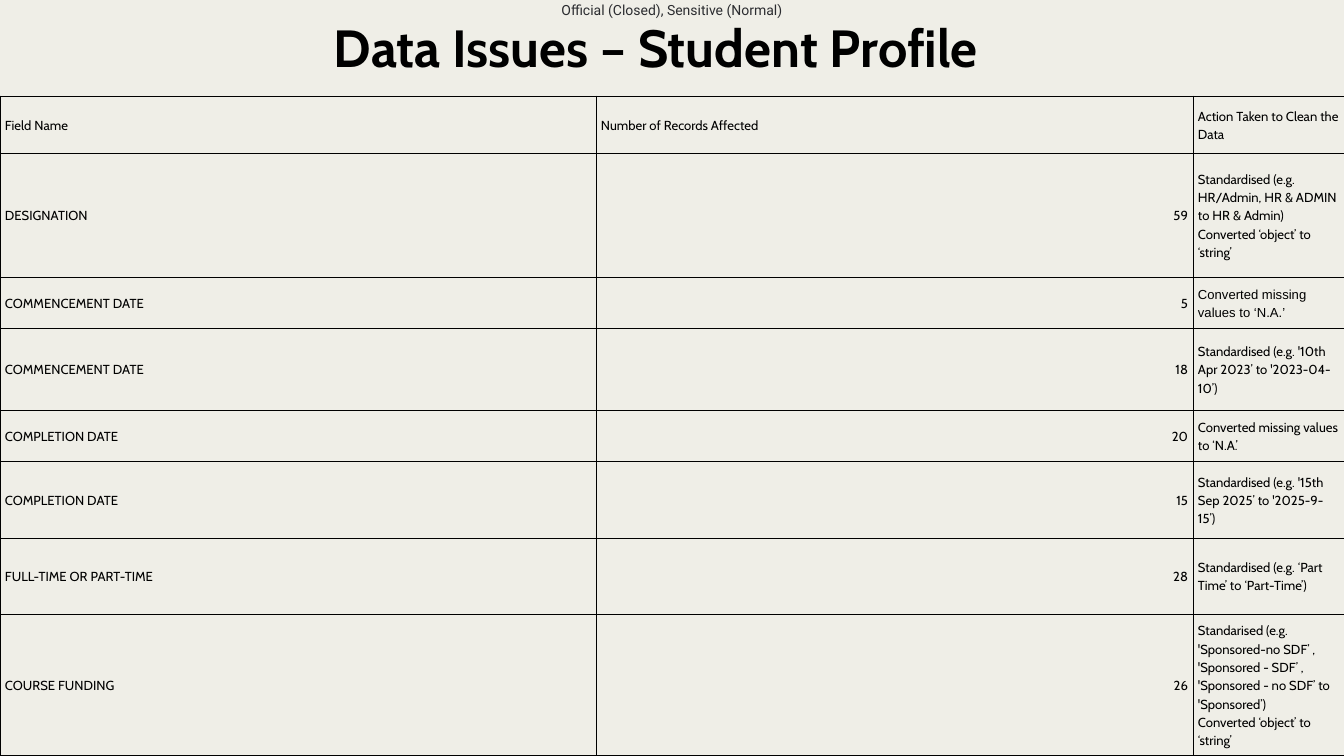
from lxml.etree import SubElement
from pptx import Presentation
from pptx.dml.color import RGBColor
from pptx.enum.text import MSO_ANCHOR as Anchor, MSO_AUTO_SIZE as AutoSize, PP_ALIGN as Align
from pptx.oxml.ns import qn
from pptx.util import Emu, Pt

BLACK = RGBColor(0, 0, 0)
CHARCOAL = RGBColor(0x2B, 0x2C, 0x30)
CREAM = RGBColor(0xEF, 0xEE, 0xE7)

HEADING = "Data Issues – Student Profile"
CLASSIFICATION = "Official (Closed), Sensitive (Normal)"
HEADERS = ("Field Name", "Number of Records Affected", "Action Taken to Clean the Data")
ISSUES = [
    ("DESIGNATION", 59,
     "Standardised (e.g. HR/Admin, HR & ADMIN to HR & Admin)\nConverted ‘object’ to ‘string’"),
    ("COMMENCEMENT DATE", 5, "Converted missing values to ‘N.A.’"),
    ("COMMENCEMENT DATE", 18, "Standardised (e.g. '10th Apr 2023’ to '2023-04-10’)"),
    ("COMPLETION DATE", 20, "Converted missing values to ‘N.A.’"),
    ("COMPLETION DATE", 15, "Standardised (e.g. '15th Sep 2025’ to '2025-9-15’)"),
    ("FULL-TIME OR PART-TIME", 28, "Standardised (e.g. ‘Part Time’ to ‘Part-Time’)"),
    ("COURSE FUNDING", 26,
     "Standarised (e.g. 'Sponsored-no SDF’ , 'Sponsored - SDF’ , "
     "'Sponsored - no SDF’ to 'Sponsored’)\nConverted ‘object’ to ‘string’"),
]
ARIAL_CELL = (2, 2)

COLUMN_WIDTHS = (596, 597, 151)
ROW_HEIGHTS = (57, 124, 51, 82, 51, 77, 76, 142)
SLIDE_WIDTH, SLIDE_HEIGHT = 1344, 756
TABLE_TOP = SLIDE_HEIGHT - sum(ROW_HEIGHTS)
CELL_MARGIN = 5

HEADING_FONT = {"name": "Cabin", "size": Pt(56), "bold": True}
CELL_FONT = {"name": "Cabin", "size": Pt(14), "bold": False}
CLASSIFICATION_FONT = {"name": "Roboto", "size": Pt(15), "bold": False}
SIDES = ("left", "right", "top", "bottom")


def px(length):
    return Emu(round(length * 914400 / 67.2))


def apply(target, values):
    for name, value in values.items():
        setattr(target, name, value)


def set_margins(target, length):
    apply(target, {f"margin_{side}": px(length) for side in SIDES})


def write(frame, text, font, color, line_height, align):
    frame.text = text
    for paragraph in frame.paragraphs:
        apply(paragraph, {"alignment": align, "line_spacing": Pt(line_height),
                          "space_before": Pt(0)})
        for run in paragraph.runs:
            apply(run.font, font)
            run.font.color.rgb = color


def place_line(holder, box, text, font, color, line_height):
    apply(holder, dict(zip(("left", "top", "width", "height"), map(px, box))))
    frame = holder.text_frame
    set_margins(frame, 0)
    apply(frame, {"word_wrap": True, "vertical_anchor": Anchor.TOP,
                  "auto_size": AutoSize.SHAPE_TO_FIT_TEXT})
    write(frame, text, font, color, line_height, Align.CENTER)


def outline(cell):
    properties = cell._tc.get_or_add_tcPr()
    for position, edge in enumerate(("a:lnL", "a:lnR", "a:lnT", "a:lnB")):
        border = properties.makeelement(qn(edge), {"w": str(Pt(1))})
        fill = SubElement(border, qn("a:solidFill"))
        SubElement(fill, qn("a:srgbClr"), val=str(BLACK))
        properties.insert(position, border)


def add_issue_table(slide):
    rows = [HEADERS, *ISSUES]
    table = slide.shapes.add_table(
        len(rows), len(HEADERS), px(0), px(TABLE_TOP),
        px(SLIDE_WIDTH), px(sum(ROW_HEIGHTS))).table
    apply(table, {"first_row": False, "horz_banding": False})
    for column, width in zip(table.columns, COLUMN_WIDTHS):
        column.width = px(width)
    for r, (row, height) in enumerate(zip(rows, ROW_HEIGHTS)):
        table.rows[r].height = px(height)
        for c, value in enumerate(row):
            cell = table.cell(r, c)
            font = CELL_FONT | ({"name": "Arial"} if (r, c) == ARIAL_CELL else {})
            align = Align.RIGHT if isinstance(value, int) else Align.LEFT
            write(cell.text_frame, str(value), font, BLACK, 19.6, align)
            set_margins(cell, CELL_MARGIN)
            cell.vertical_anchor = Anchor.MIDDLE
            cell.fill.background()
            outline(cell)


def main():
    deck = Presentation()
    apply(deck, {"slide_width": px(SLIDE_WIDTH), "slide_height": px(SLIDE_HEIGHT)})
    slide = deck.slides.add_slide(deck.slide_layouts[5])
    background = slide.background.fill
    background.solid()
    background.fore_color.rgb = CREAM

    place_line(slide.shapes.title, (289, 5, 734, 71), HEADING, HEADING_FONT, BLACK, 78.4)
    add_issue_table(slide)
    classification = slide.shapes.add_textbox(0, 0, 0, 0)
    place_line(classification, (383, -3, 578, 20), CLASSIFICATION,
               CLASSIFICATION_FONT, CHARCOAL, 22.5)
    deck.save("out.pptx")


if __name__ == "__main__":
    main()
